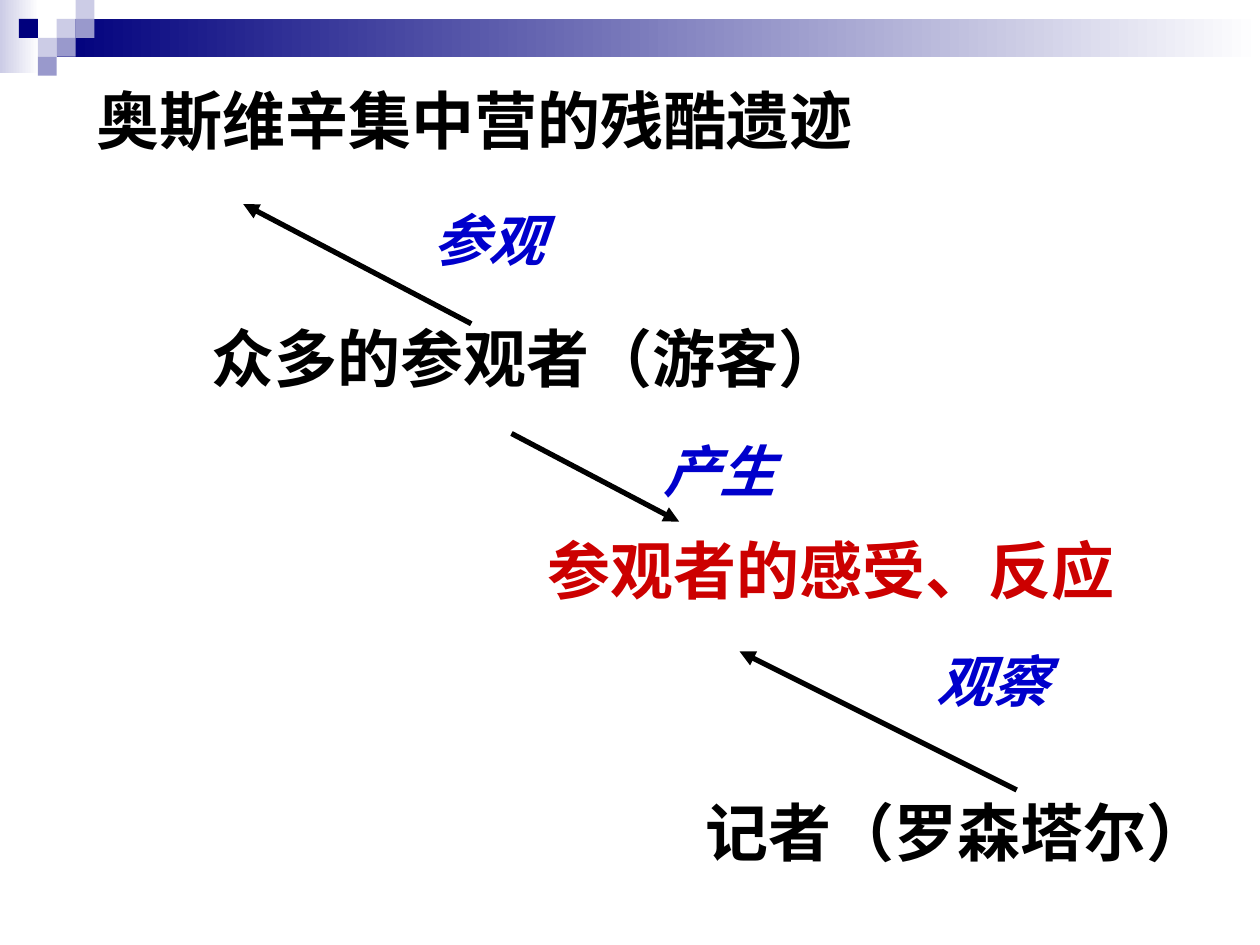
from lxml.etree import SubElement
from pptx import Presentation
from pptx.dml.color import RGBColor
from pptx.enum.shapes import MSO_CONNECTOR, MSO_SHAPE
from pptx.enum.text import MSO_AUTO_SIZE
from pptx.oxml.ns import qn
from pptx.util import Pt

# Content: text, left, top, width (points)
STATEMENTS = [
    ("奥斯维辛集中营的残酷遗迹", 48.2, 43.2, 461.5, "000000"),
    ("众多的参观者（游客）", 113.8, 179.3, 390.2, "000000"),
    ("参观者的感受、反应", 306, 300.2, 341.3, "CC0000"),
    ("记者（罗森塔尔）", 396, 450, 324, "000000"),
]
ACTIONS = [
    ("参观", 239.8, 113.8, 146.9),
    ("产生", 372.2, 246.2, 172.8),
    ("观察", 527.8, 365.8, 176.4),
]
# Arrows: start x, start y, end x, end y
ARROWS = [
    (269.3, 185, 139, 116.6),
    (292.3, 247.7, 388.1, 298.1),
    (581, 451.4, 422.6, 372.2),
]
# Banner decoration
NAVY, LAVENDER, VIOLET, WHITE = "00007D", "CCCCE6", "9999CC", "FFFFFF"
TILE = 10.8
BANDS = [(0, 0, 22.3, 41.8, LAVENDER), (3 * TILE, TILE, 687.6, 2 * TILE, NAVY)]
TILES = [  # column, row, colour
    (3, 1, LAVENDER), (4, 0, LAVENDER), (4, 1, VIOLET), (2, 2, LAVENDER),
    (1, 1, NAVY), (3, 2, VIOLET), (2, 3, VIOLET),
]


def color(value):
    return RGBColor.from_string(value)


def add_rectangle(page, left, top, width, height, start, end=None):
    shape = page.shapes.add_shape(
        MSO_SHAPE.RECTANGLE, Pt(left), Pt(top), Pt(width), Pt(height))
    shape.shadow.inherit = False
    shape.line.fill.background()
    if end is None:
        shape.fill.solid()
        shape.fill.fore_color.rgb = color(start)
        return
    shape.fill.gradient()
    shape.fill.gradient_angle = 0
    for stop, position, value in zip(shape.fill.gradient_stops, (0, 1), (start, end)):
        stop.position = position
        stop.color.rgb = color(value)


def add_text(page, text, left, top, width, height, size, value, italic=False):
    box = page.shapes.add_textbox(Pt(left), Pt(top), Pt(width), Pt(height))
    frame = box.text_frame
    frame.word_wrap = True
    frame.auto_size = MSO_AUTO_SIZE.SHAPE_TO_FIT_TEXT
    span = frame.paragraphs[0].add_run()
    span.text = text
    span.font.name = "Arial"
    span.font.size = Pt(size)
    span.font.bold = True
    span.font.italic = italic
    span.font.color.rgb = color(value)


def add_arrow(page, *ends):
    arrow = page.shapes.add_connector(
        MSO_CONNECTOR.STRAIGHT, *[Pt(end) for end in ends])
    arrow.line.color.rgb = color("000000")
    arrow.line.width = Pt(3)
    SubElement(arrow.line._get_or_add_ln(), qn("a:tailEnd"), type="triangle")
    SubElement(arrow._element.spPr, qn("a:effectLst"))


def main():
    deck = Presentation()
    deck.slide_width, deck.slide_height = Pt(720), Pt(540)
    page = deck.slides.add_slide(deck.slide_layouts[6])

    # Banner
    for *place, start in BANDS:
        add_rectangle(page, *place, start, WHITE)
    for column, row, value in TILES:
        add_rectangle(page, column * TILE, row * TILE, TILE, TILE, value)

    # Statements, the actions between them, and arrows
    for text, left, top, width, value in STATEMENTS:
        add_text(page, text, left, top, width, 50.4, 36, value)
    for text, left, top, width in ACTIONS:
        add_text(page, text, left, top, width, 46.1, 32, "0000CC", italic=True)
    for ends in ARROWS:
        add_arrow(page, *ends)

    deck.save("out.pptx")


if __name__ == "__main__":
    main()
